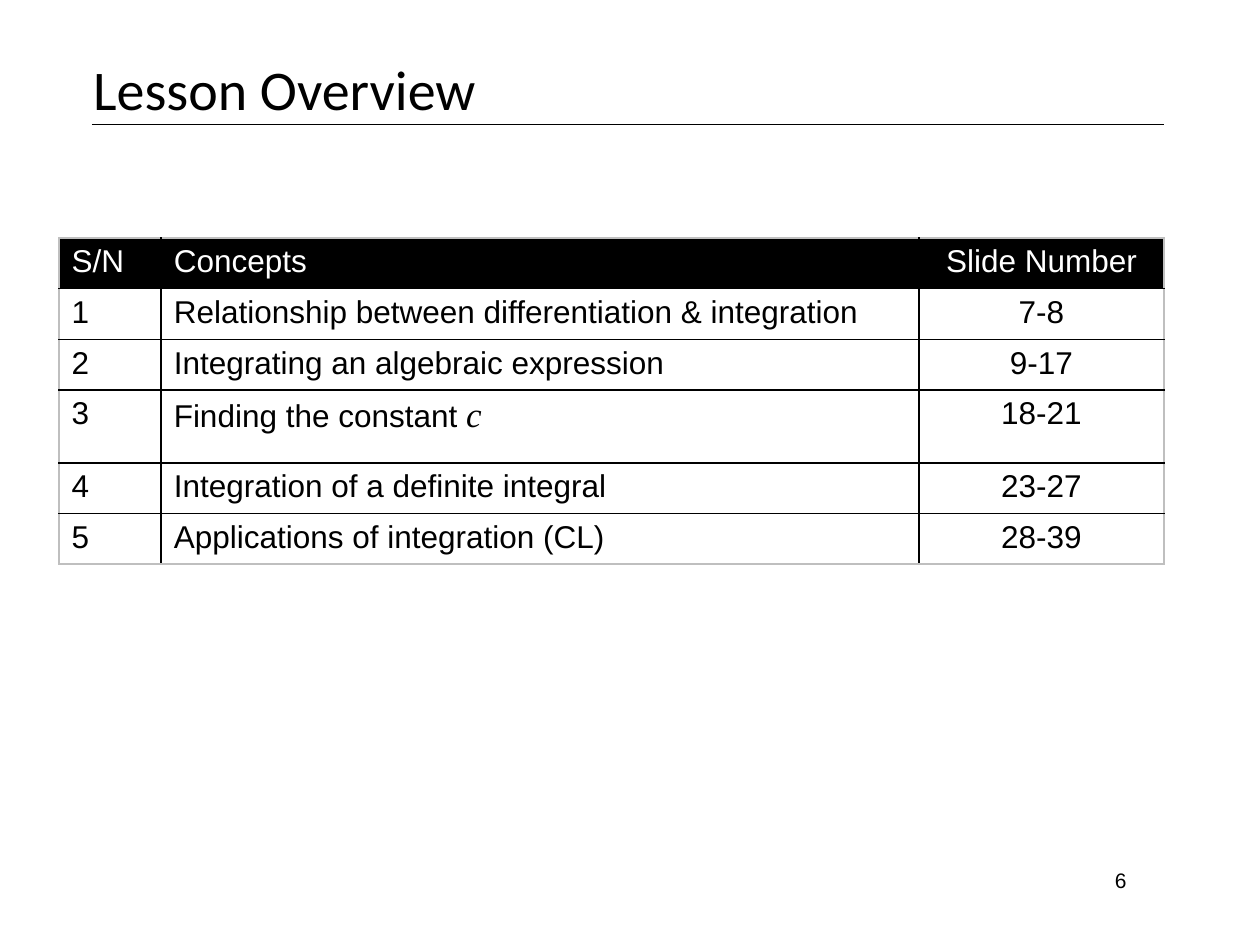
from lxml import etree
from pptx import Presentation
from pptx.dml.color import RGBColor
from pptx.enum.shapes import MSO_CONNECTOR
from pptx.enum.text import PP_ALIGN
from pptx.oxml.ns import qn
from pptx.util import Cm, Pt

BLACK = RGBColor(0x00, 0x00, 0x00)
WHITE = RGBColor(0xFF, 0xFF, 0xFF)
GREY = RGBColor(0xBF, 0xBF, 0xBF)
LEFT, CENTER, RIGHT = PP_ALIGN.LEFT, PP_ALIGN.CENTER, PP_ALIGN.RIGHT
STRAIGHT = MSO_CONNECTOR.STRAIGHT

COLUMN_WIDTHS = (2.06, 15.28, 4.93)
ROW_HEIGHT, TALL_ROW_HEIGHT, TALL_ROW = 1.02, 1.47, 3
# Each cell lists its runs; an italic variable is marked True
CONSTANT_RUNS = [("Finding the constant ", False), ("c", True)]
LESSONS = [
    ("S/N", "Concepts", "Slide Number"),
    ("1", "Relationship between differentiation & integration", "7-8"),
    ("2", "Integrating an algebraic expression", "9-17"),
    ("3", CONSTANT_RUNS, "18-21"),
    ("4", "Integration of a definite integral", "23-27"),
    ("5", "Applications of integration (CL)", "28-39"),
]


def add_run(para, text, size, font="Arial", color=BLACK, italic=False):
    span = para.add_run()
    span.text = text
    span.font.size = Pt(size)
    span.font.name = font
    span.font.color.rgb = color
    span.font.italic = italic


def add_text(page, left, top, width, height, text, size, font, align=LEFT,
             side_inset=0.25, top_inset=0.13):
    box = page.shapes.add_textbox(Cm(left), Cm(top), Cm(width), Cm(height))
    frame = box.text_frame
    frame.word_wrap = True
    frame.margin_left = frame.margin_right = Cm(side_inset)
    frame.margin_top = Cm(top_inset)
    para = frame.paragraphs[0]
    para.alignment = align
    add_run(para, text, size, font)


def add_rule(page, left, right, y):
    rule = page.shapes.add_connector(STRAIGHT, Cm(left), Cm(y), Cm(right), Cm(y))
    rule.line.color.rgb = BLACK
    rule.line.width = Pt(0.25)
    etree.SubElement(rule._element.spPr, qn("a:effectLst"))


def set_border(cell, side, color):
    properties = cell._tc.get_or_add_tcPr()
    line = etree.SubElement(properties, qn("a:ln" + side), w=str(Pt(1)))
    fill = etree.SubElement(line, qn("a:solidFill"))
    etree.SubElement(fill, qn("a:srgbClr"), val=str(color))


def fill_cell(cell, content, header, align, outer_sides):
    for side in "LRTB":
        set_border(cell, side, GREY if side in outer_sides else BLACK)
    if header:
        cell.fill.solid()
        cell.fill.fore_color.rgb = BLACK
    else:
        cell.fill.background()
    para = cell.text_frame.paragraphs[0]
    para.alignment = align
    runs = [(content, False)] if isinstance(content, str) else content
    for text, is_variable in runs:
        if is_variable:
            add_run(para, text, 20, "Times New Roman", italic=True)
        else:
            add_run(para, text, 18, color=WHITE if header else BLACK)


def add_lesson_table(page, left, top):
    heights = [ROW_HEIGHT] * len(LESSONS)
    heights[TALL_ROW] = TALL_ROW_HEIGHT
    frame = page.shapes.add_table(len(LESSONS), len(COLUMN_WIDTHS), Cm(left), Cm(top),
                                  Cm(sum(COLUMN_WIDTHS)), Cm(sum(heights)))
    table = frame.table
    table.first_row = table.horz_banding = False
    for column, width in zip(table.columns, COLUMN_WIDTHS):
        column.width = Cm(width)
    last_row, last_column = len(LESSONS) - 1, len(COLUMN_WIDTHS) - 1
    for r, lesson in enumerate(LESSONS):
        table.rows[r].height = Cm(heights[r])
        for c, content in enumerate(lesson):
            edges = {"L": c == 0, "R": c == last_column, "T": r == 0, "B": r == last_row}
            outer_sides = [side for side, is_outer in edges.items() if is_outer]
            align = CENTER if c == last_column else LEFT
            fill_cell(table.cell(r, c), content, r == 0, align, outer_sides)


def main():
    deck = Presentation()
    deck.slide_width, deck.slide_height = Cm(25.4), Cm(19.05)
    page = deck.slides.add_slide(deck.slide_layouts[6])

    # Title with its rule
    add_rule(page, 1.85, 23.47, 2.51)
    add_text(page, 1.7, 0.91, 22.58, 2.06, "Lesson Overview", 32, "Calibri",
             side_inset=0.18, top_inset=0.18)

    # Page number
    add_text(page, 17.53, 17.35, 5.92, 1.02, "6", 12, "Arial", RIGHT, side_inset=0.74)

    # Overview of concepts
    add_lesson_table(page, 1.19, 4.8)

    deck.save("out.pptx")


if __name__ == "__main__":
    main()
